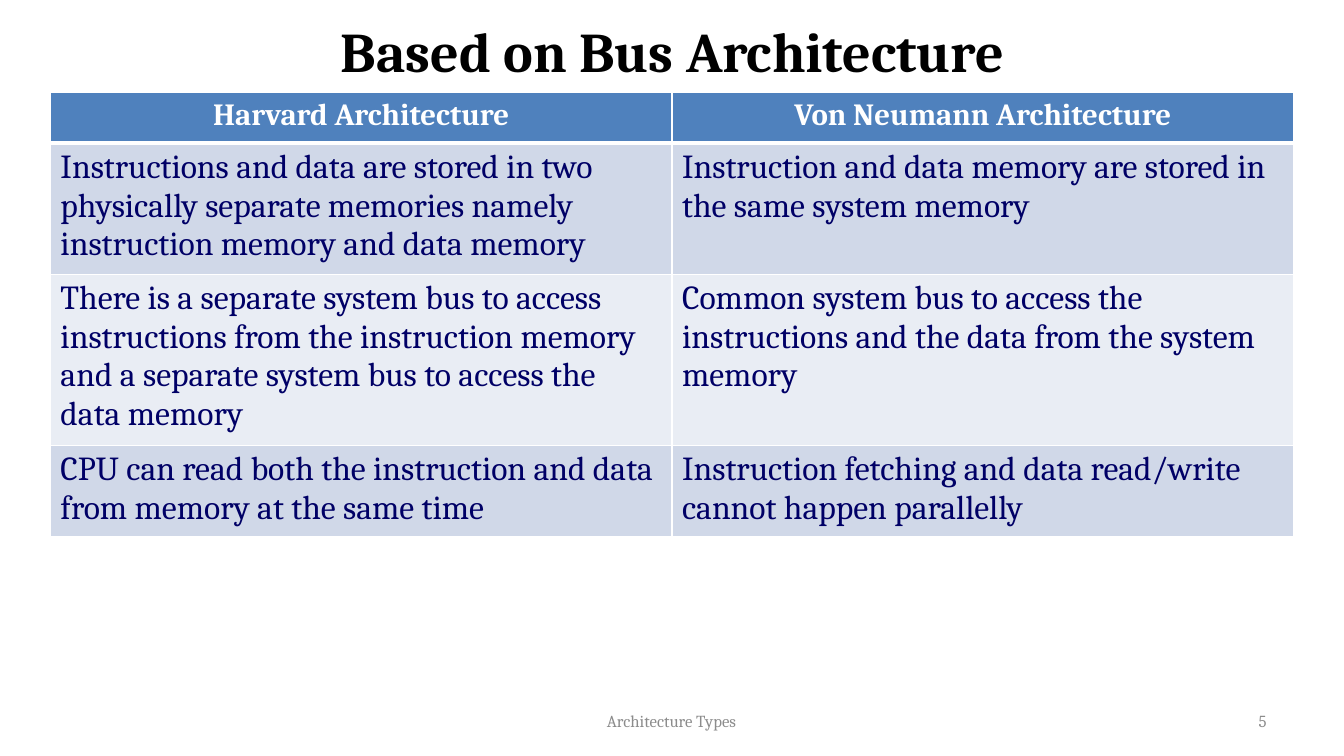
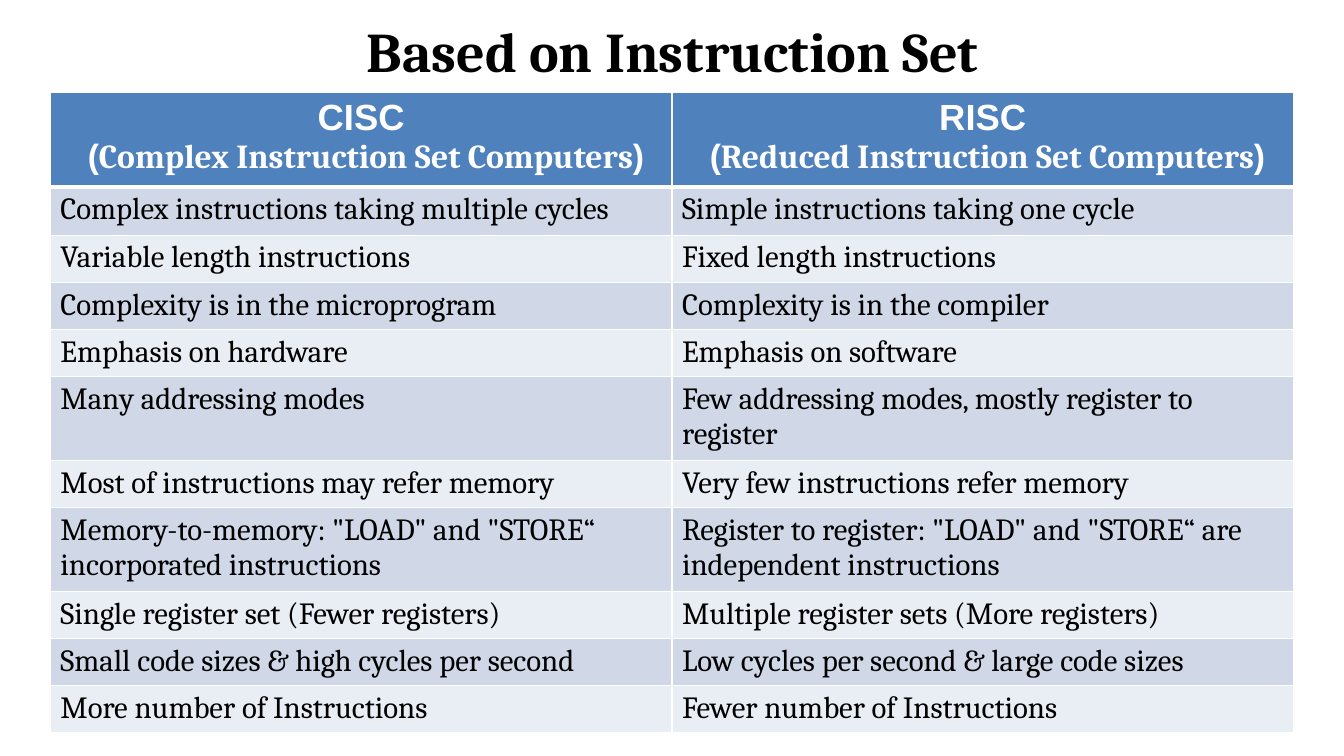
import pptx
import pptx.dml.color
import pptx.enum.text
import pptx.oxml.ns
import pptx.util
from lxml import etree

Inches = pptx.util.Inches
Align = pptx.enum.text.PP_ALIGN
Anchor = pptx.enum.text.MSO_ANCHOR

SERIF = "Cambria"
SANS = "Arial"
BLACK = "000000"
WHITE = "FFFFFF"
NAVY = "000066"
GREY = "8C8C8C"
HEADER_BLUE = "4F81BD"
BANDS = ("D0D8E8", "E9EDF4")
FOOTER = "Architecture Types"

BUS_HEADERS = ("Harvard Architecture", "Von Neumann Architecture")
BUS_ROWS = [
    ("Instructions and data are stored in two physically separate memories "
     "namely instruction memory and data memory",
     "Instruction and data memory are stored in the same system memory"),
    ("There is a separate system bus to access instructions from the instruction "
     "memory and a separate system bus to access the data memory",
     "Common system bus to access the instructions and the data from the system memory"),
    ("CPU can read both the instruction and data from memory at the same time",
     "Instruction fetching and data read/write cannot happen parallelly"),
]
BUS_HEIGHTS = [0.5, 1.24, 1.64, 0.86]

SET_HEADERS = (("CISC", "Complex Instruction Set Computers"),
               ("RISC", "Reduced Instruction Set Computers"))
SET_ROWS = [
    ("Complex instructions taking multiple cycles", "Simple instructions taking one cycle"),
    ("Variable length instructions", "Fixed length instructions"),
    ("Complexity is in the microprogram", "Complexity is in the compiler"),
    ("Emphasis on hardware", "Emphasis on software"),
    ("Many addressing modes", "Few addressing modes, mostly register to register"),
    ("Most of instructions may refer memory", "Very few instructions refer memory"),
    ('Memory-to-memory: "LOAD" and "STORE“ incorporated instructions',
     'Register to register: "LOAD" and "STORE“ are independent instructions'),
    ("Single register set (Fewer registers)", "Multiple register sets (More registers)"),
    ("Small code sizes & high cycles per second", "Low cycles per second & large code sizes"),
    ("More number of Instructions", "Fewer number of Instructions"),
]
SET_HEIGHTS = [0.85, 0.48, 0.45, 0.45, 0.45, 0.8, 0.45, 0.8, 0.45, 0.45, 0.45]


def rgb(value):
    return pptx.dml.color.RGBColor.from_string(value)


def style(font, size, color, bold=False, name=SERIF):
    font.name = name
    font.size = pptx.util.Pt(size)
    font.bold = bold
    font.color.rgb = rgb(color)


def place(box, left, top, width, height):
    box.left, box.top = Inches(left), Inches(top)
    box.width, box.height = Inches(width), Inches(height)


def write_line(frame, text, align, size, color, bold=False):
    para = frame.paragraphs[0]
    para.text = text
    para.alignment = align
    style(para.font, size, color, bold)


def add_title(page, text):
    title = page.shapes.title
    place(title, 0.67, 0.08, 12, 0.83)
    frame = title.text_frame
    frame.auto_size = pptx.enum.text.MSO_AUTO_SIZE.NONE
    frame.vertical_anchor = Anchor.MIDDLE
    write_line(frame, text, Align.CENTER, 40, BLACK, True)


def add_footer_text(page, text, left, width, align):
    box = page.shapes.add_textbox(Inches(left), Inches(6.95), Inches(width), Inches(0.4))
    box.text_frame.word_wrap = True
    box.text_frame.vertical_anchor = Anchor.MIDDLE
    write_line(box.text_frame, text, align, 12, GREY)


def add_page(deck, title, number):
    page = deck.slides.add_slide(deck.slide_layouts[5])
    add_title(page, title)
    add_footer_text(page, FOOTER, 4.55, 4.22, Align.CENTER)
    add_footer_text(page, str(number), 9.55, 3.11, Align.RIGHT)
    return page


def set_borders(cell, top, bottom):
    properties = cell._tc.get_or_add_tcPr()
    widths = {"L": 1, "R": 1, "T": top, "B": bottom}
    for index, (side, width) in enumerate(widths.items()):
        line = etree.Element(pptx.oxml.ns.qn(f"a:ln{side}"), w=str(pptx.util.Pt(width)))
        fill = etree.SubElement(line, pptx.oxml.ns.qn("a:solidFill"))
        etree.SubElement(fill, pptx.oxml.ns.qn("a:srgbClr"), val=WHITE)
        properties.insert(index, line)


def write_bus_header(cell, text):
    write_line(cell.text_frame, text, Align.CENTER, 22, WHITE, True)


def write_set_header(cell, names):
    short, full = names
    frame = cell.text_frame
    write_line(frame, short, Align.CENTER, 26, WHITE, True)
    frame.paragraphs[0].font.name = SANS
    para = frame.add_paragraph()
    para.alignment = Align.CENTER
    for text, name in ((" (", SANS), (full, SERIF), (")", SANS)):
        span = para.add_run()
        span.text = text
        style(span.font, 24, WHITE, True, name)


def add_comparison(page, headers, write_header, rows, heights, size, color):
    frame = page.shapes.add_table(len(heights), 2, Inches(0.5), Inches(0.92),
                                  Inches(12.33), Inches(sum(heights)))
    table = frame.table
    for row, height in zip(table.rows, heights):
        row.height = Inches(height)
    for index, values in enumerate([headers, *rows]):
        for column, value in enumerate(values):
            cell = table.cell(index, column)
            cell.fill.solid()
            if index == 0:
                cell.fill.fore_color.rgb = rgb(HEADER_BLUE)
                write_header(cell, value)
            else:
                cell.fill.fore_color.rgb = rgb(BANDS[(index - 1) % 2])
                write_line(cell.text_frame, value, Align.LEFT, size, color)
            set_borders(cell, 3 if index == 1 else 1, 3 if index == 0 else 1)


def main():
    deck = pptx.Presentation()
    deck.slide_width, deck.slide_height = Inches(13.33), Inches(7.5)
    bus_page = add_page(deck, "Based on Bus Architecture", 5)
    add_comparison(bus_page, BUS_HEADERS, write_bus_header, BUS_ROWS, BUS_HEIGHTS, 24, NAVY)
    set_page = add_page(deck, "Based on Instruction Set", 6)
    add_comparison(set_page, SET_HEADERS, write_set_header, SET_ROWS, SET_HEIGHTS, 22, BLACK)
    deck.save("out.pptx")


if __name__ == "__main__":
    main()
